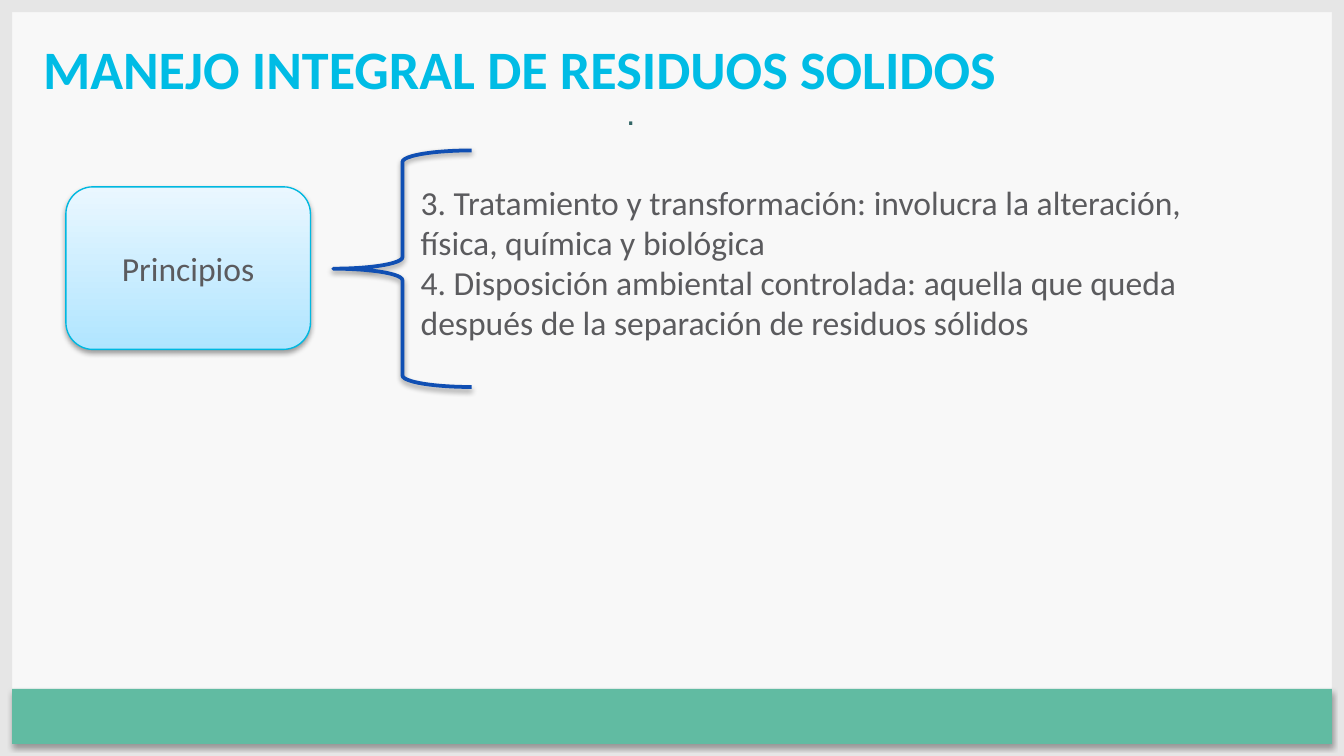
from dataclasses import dataclass

import lxml.etree
import pptx
import pptx.dml.color
import pptx.enum.shapes
import pptx.enum.text
import pptx.oxml.ns
import pptx.util

Shapes = pptx.enum.shapes.MSO_SHAPE
Align = pptx.enum.text.PP_ALIGN
Anchor = pptx.enum.text.MSO_ANCHOR
Pt = pptx.util.Pt
Inches = pptx.util.Inches
qn = pptx.oxml.ns.qn


@dataclass(frozen=True)
class Theme:
    background: str = "F8F8F8"
    frame: str = "E6E6E6"
    footer: str = "61BBA2"
    title: str = "00BCE5"
    text: str = "5B5B5E"
    dot: str = "336666"
    box_line: str = "00B8E0"
    box_bottom: str = "B0E5FF"
    box_top: str = "EAF7FF"
    brace: str = "104FB3"
    font: str = "Calibri"
    dot_font: str = "Arial"
    title_size: float = 29
    text_size: float = 18


@dataclass(frozen=True)
class Area:
    """A rectangle in inches."""
    left: float
    top: float
    width: float
    height: float

    def place(self, shape) -> None:
        shape.left, shape.top = Inches(self.left), Inches(self.top)
        shape.width, shape.height = Inches(self.width), Inches(self.height)


THEME = Theme()
WIDTH = 10
HEIGHT = WIDTH * 9 / 16
EDGE = 0.09
FOOTER_HEIGHT = 0.41
TITLE = Area(0.22, 0.21, 9.66, 0.88)
DOT = Area(4.56, 0.76, 5, 0.3)
BOX = Area(0.49, 1.39, 1.82, 1.21)
BRACE = Area(2.48, 1.12, 1.03, 1.76)
BODY = Area(3.03, 1.3, 5.98, 1.62)
FRAME = (
    Area(0, 0, WIDTH, EDGE),
    Area(0, HEIGHT - EDGE, WIDTH, EDGE),
    Area(0, 0, EDGE, HEIGHT),
    Area(WIDTH - EDGE, 0, EDGE, HEIGHT),
)
FOOTER = Area(EDGE, HEIGHT - EDGE - FOOTER_HEIGHT, WIDTH - 2 * EDGE, FOOTER_HEIGHT)
PRINCIPLES = (
    "3. Tratamiento y transformación: involucra la alteración, física, química y biológica",
    "4. Disposición ambiental controlada: aquella que queda después de la separación de residuos sólidos",
)


def color(value: str) -> pptx.dml.color.RGBColor:
    return pptx.dml.color.RGBColor.from_string(value)


def add_shape(slide, kind, area: Area, fill: str | None = None,
              line: str | None = None, line_width: float = 0):
    shape = slide.shapes.add_shape(kind, 0, 0, 0, 0)
    area.place(shape)
    shape.shadow.inherit = False
    if fill:
        shape.fill.solid()
        shape.fill.fore_color.rgb = color(fill)
    else:
        shape.fill.background()
    if line:
        shape.line.color.rgb = color(line)
        shape.line.width = Pt(line_width)
    else:
        shape.line.fill.background()
    return shape


def add_shadow(shape, distance: float, opacity: int) -> None:
    """Cast a soft black shadow straight down."""
    effects = shape._element.spPr.find(qn("a:effectLst"))
    shadow = lxml.etree.SubElement(
        effects, qn("a:outerShdw"), blurRad=str(Pt(3.1)), dist=str(Pt(distance)),
        dir=str(90 * 60000), rotWithShape="0")
    black = lxml.etree.SubElement(shadow, qn("a:srgbClr"), val="000000")
    lxml.etree.SubElement(black, qn("a:alpha"), val=str(opacity * 1000))


def set_text(shape, lines: tuple[str, ...], size: float = THEME.text_size,
             font: str = THEME.font, ink: str = THEME.text, bold: bool = False,
             align=Align.LEFT, anchor=Anchor.TOP) -> None:
    frame = shape.text_frame
    frame.text = "\n".join(lines)
    frame.word_wrap = True
    frame.auto_size = pptx.enum.text.MSO_AUTO_SIZE.NONE
    frame.vertical_anchor = anchor
    for paragraph in frame.paragraphs:
        paragraph.alignment = align
        paragraph.space_before = Pt(0)
        for run in paragraph.runs:
            run.font.name = font
            run.font.size = Pt(size)
            run.font.bold = bold
            run.font.color.rgb = color(ink)


def remove_bullets(shape) -> None:
    for paragraph in shape.text_frame.paragraphs:
        properties = paragraph._p.get_or_add_pPr()
        properties.set("marL", "0")
        properties.set("indent", "0")
        lxml.etree.SubElement(properties, qn("a:buNone"))


def add_frame(slide) -> None:
    for area in FRAME:
        add_shape(slide, Shapes.RECTANGLE, area, fill=THEME.frame)
    footer = add_shape(slide, Shapes.RECTANGLE, FOOTER, fill=THEME.footer)
    add_shadow(footer, distance=1.8, opacity=35)


def add_principles_box(slide) -> None:
    box = add_shape(slide, Shapes.ROUNDED_RECTANGLE, BOX,
                    line=THEME.box_line, line_width=0.75)
    box.fill.gradient()
    box.fill.gradient_angle = 90
    for stop, value in zip(box.fill.gradient_stops, (THEME.box_bottom, THEME.box_top)):
        stop.color.rgb = color(value)
    add_shadow(box, distance=1.6, opacity=38)
    set_text(box, ("Principios",), align=Align.CENTER, anchor=Anchor.MIDDLE)


def add_brace(slide) -> None:
    brace = add_shape(slide, Shapes.LEFT_BRACE, BRACE, line=THEME.brace, line_width=2)
    add_shadow(brace, distance=1.6, opacity=38)


def add_dot(slide) -> None:
    dot = slide.shapes.add_textbox(0, 0, 0, 0)
    DOT.place(dot)
    set_text(dot, (".",), font=THEME.dot_font, ink=THEME.dot, align=Align.JUSTIFY)
    dot.text_frame.paragraphs[0].line_spacing = Pt(12.8)


def main() -> None:
    presentation = pptx.Presentation()
    presentation.slide_width = Inches(WIDTH)
    presentation.slide_height = Inches(HEIGHT)
    slide = presentation.slides.add_slide(presentation.slide_layouts[1])
    slide.background.fill.solid()
    slide.background.fill.fore_color.rgb = color(THEME.background)

    add_frame(slide)
    title, body = slide.shapes.title, slide.placeholders[1]
    TITLE.place(title)
    set_text(title, ("MANEJO INTEGRAL DE RESIDUOS SOLIDOS",),
             size=THEME.title_size, ink=THEME.title, bold=True)
    add_dot(slide)
    add_principles_box(slide)
    add_brace(slide)
    BODY.place(body)
    set_text(body, PRINCIPLES)
    remove_bullets(body)
    presentation.save("out.pptx")


if __name__ == "__main__":
    main()
